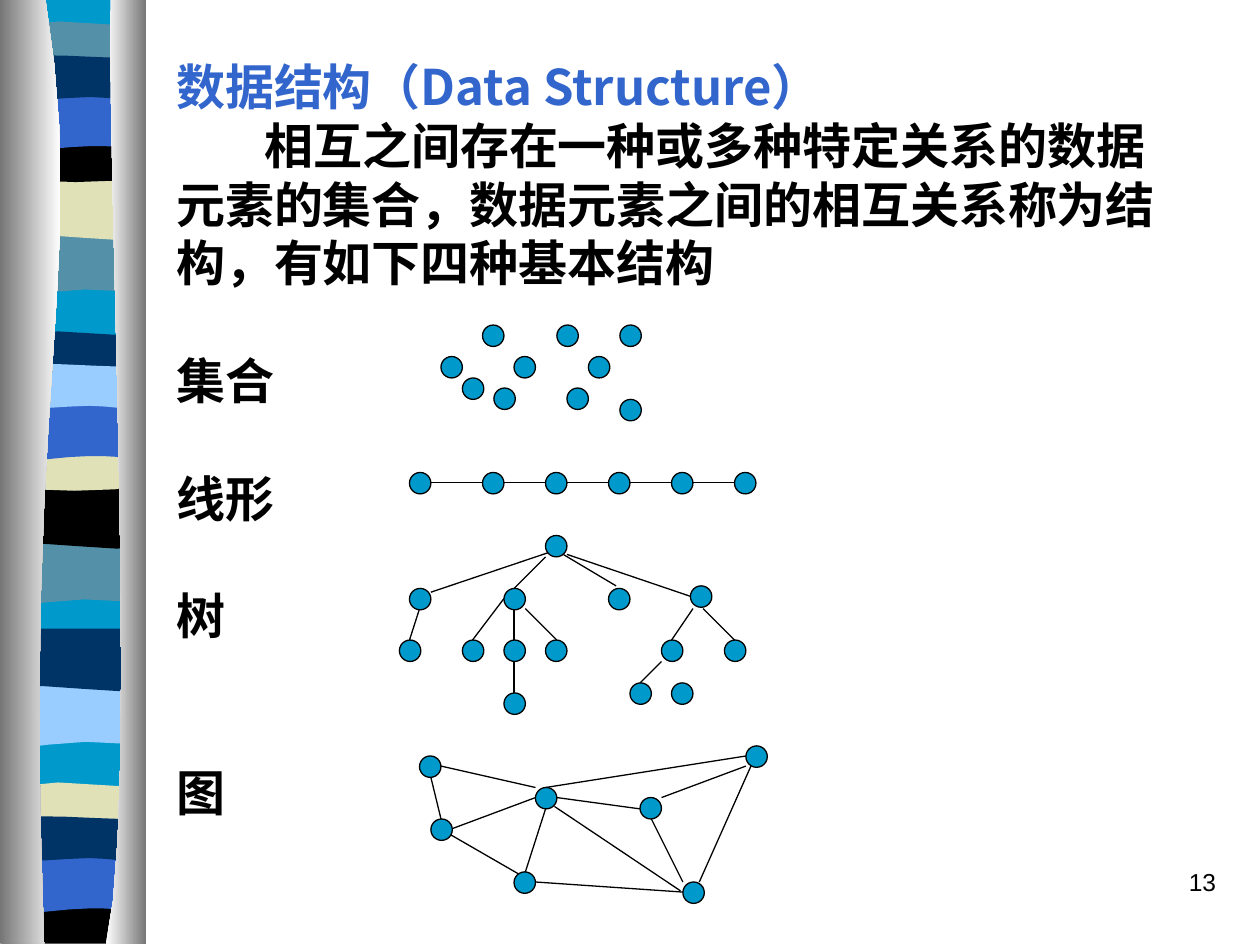
from dataclasses import dataclass

from lxml.etree import SubElement
from pptx import Presentation
from pptx.dml.color import RGBColor as Rgb
from pptx.enum.shapes import MSO_CONNECTOR as Connector, MSO_SHAPE as Preset
from pptx.enum.text import PP_ALIGN as Align
from pptx.oxml.ns import qn
from pptx.util import Inches, Pt


@dataclass(frozen=True)
class Theme:
    """Colours, fonts and sizes of the slide."""
    sky: str = "0099CC"
    steel: str = "5490A8"
    sand: str = "E1E1B7"
    black: str = "000000"
    royal: str = "3366CC"
    navy: str = "003366"
    pale: str = "99CCFF"
    white: str = "FFFFFF"
    grey: str = "767676"
    cjk: str = "Noto Sans CJK SC"
    serif: str = "Times New Roman"
    sans: str = "Arial"
    body: float = 28
    leading: float = 33.6
    number: float = 14
    stroke: float = 0.75


THEME = Theme()
NODE = 0.17

WAVES = {
    "sway": [(1.08, 0), (1.08, 0.47), (0.33, 0.39, 0.18, 0.55, 0, 0.47), (0, 0)],
    "drift": [(1.08, 0), (1.08, 0.47), (0.9, 0.55, 0.33, 0.41, 0, 0.47), (0, 0)],
    "swell": [(1.08, 0.05), (1.08, 0.29), (0.9, 0.33, 0.18, 0.33, 0, 0.29), (0, 0.05),
              (0.41, 0.01)],
    "bowl": [(1.08, 0), (1.08, 0.32), (0.9, 0.38, 0.18, 0.38, 0, 0.32), (0, 0),
             (0.66, 0.05, 0.85, 0, 1.08, 0)],
    "arch": [(1.08, 0), (1.08, 0.47), (0.91, 0.42, 0.84, 0.42, 0.66, 0.42),
             (0.48, 0.42, 0.16, 0.47, 0, 0.47), (0, 0)],
    "ripple": [(1.08, 0.05), (1.08, 0.36), (1.01, 0.41, 0.84, 0.36, 0.66, 0.36),
               (0.48, 0.36, 0.11, 0.41, 0, 0.36), (0, 0.05),
               (0.15, 0, 0.73, 0.05, 0.91, 0.05)],
    "base": [(1.08, 0), (1.08, 0.37), (0, 0.37), (0, 0), (0.66, 0.05, 0.85, 0, 1.08, 0)],
    "backing": [(1.08, 0), (1.08, 7.48), (0, 7.48), (0, 0)],
}

BANDS = [
    ("backing", 0.06, -0.01, THEME.sky),
    ("sway", 0.06, 1.85, THEME.steel), ("drift", 0.06, 1.41, THEME.sand),
    ("swell", 0.06, 0.16, THEME.steel), ("bowl", 0.06, 1.08, THEME.black),
    ("arch", 0.06, 0.74, THEME.royal), ("ripple", 0.06, 0.41, THEME.navy),
    ("sway", 0.05, 4.31, THEME.steel), ("drift", 0.05, 3.86, THEME.black),
    ("swell", 0.05, 2.62, THEME.navy), ("bowl", 0.05, 3.53, THEME.sand),
    ("arch", 0.05, 3.2, THEME.royal), ("ripple", 0.05, 2.86, THEME.pale),
    ("sway", 0.06, 5.44, THEME.pale), ("drift", 0.06, 4.99, THEME.navy),
    ("swell", 0.05, 6.2, THEME.sand), ("base", 0.05, 7.12, THEME.black),
    ("arch", 0.05, 6.79, THEME.royal), ("ripple", 0.05, 6.45, THEME.navy),
]

LEFT_CURTAIN = [(0.36, -0.01), (0.71, 2.16, 0.17, 2.96, 0.35, 7.49), (0, 7.49), (0, -0.01)]
RIGHT_CURTAIN = [(0.88, -0.01), (0.84, 1.25, 1.11, 6.46, 0.84, 7.49), (1.16, 7.49), (1.16, 0)]

SET_NODES = [(3.5, 2.83), (3.83, 2.58), (4.08, 2.83), (3.92, 3.08), (4.42, 2.58),
             (4.5, 3.08), (4.67, 2.83), (4.92, 2.58), (4.92, 3.17), (3.67, 3)]
CHAIN_NODES = [(x, 3.75) for x in (3.25, 3.83, 4.33, 4.83, 5.33, 5.83)]
CHAIN_EDGES = [(3.42, 3.83, 5.83, 3.83)]
TREE_NODES = [(4.33, 4.25), (3.25, 4.67), (4, 4.67), (4.83, 4.67), (5.48, 4.65),
              (3.17, 5.08), (3.67, 5.08), (4, 5.08), (4.33, 5.08), (5.25, 5.08),
              (5.75, 5.08), (4, 5.5), (5, 5.42), (5.33, 5.42)]
TREE_EDGES = [(4.37, 4.38, 3.42, 4.7), (4.33, 4.42, 4.08, 4.67), (4.47, 4.4, 4.89, 4.65),
              (4.5, 4.4, 5.5, 4.74), (3.33, 4.83, 3.25, 5.08), (4, 4.75, 3.75, 5.08),
              (4.08, 4.83, 4.08, 5.08), (4.17, 4.83, 4.42, 5.08), (5.5, 4.83, 5.33, 5.08),
              (5.58, 4.83, 5.83, 5.08), (5.25, 5.25, 5.08, 5.42), (4.08, 5.25, 4.08, 5.5)]
GRAPH_NODES = [(3.33, 6), (3.42, 6.5), (4.08, 6.92), (4.25, 6.25), (5.08, 6.33),
               (5.42, 7), (5.92, 5.92)]
GRAPH_EDGES = [(3.42, 6.17, 3.5, 6.5), (3.55, 6.61, 4.14, 6.95), (3.5, 6.08, 4.25, 6.25),
               (3.58, 6.58, 4.25, 6.33), (4.42, 6.33, 5.08, 6.42), (4.33, 6.25, 5.92, 6),
               (5.96, 6.08, 5.55, 7), (5.17, 6.5, 5.42, 7), (4.4, 6.4, 5.4, 7.07),
               (4.25, 7, 5.42, 7.08), (4.33, 6.42, 4.17, 6.92), (5.25, 6.33, 5.92, 6.08)]

PASSAGE = [
    ("数据结构（Data Structure）", 0, THEME.royal, THEME.cjk),
    ("相互之间存在一种或多种特定关系的数据元素的集合，数据元素之间的相互关系称为结构，有如下四种基本结构",
     0, THEME.black, THEME.serif),
    ("集合", 1, THEME.black, THEME.serif),
    ("线形", 1, THEME.black, THEME.serif),
    ("树", 1, THEME.black, THEME.serif),
    ("图", 2, THEME.black, THEME.serif),
]


def rgb(code):
    """Turn a hex code into a colour."""
    return Rgb.from_string(code)


def trace(segments, steps):
    """Flatten line and cubic segments into points."""
    points = [segments[0]]
    for segment in segments[1:]:
        if len(segment) == 2:
            points.append(segment)
            continue
        start, controls = points[-1], (segment[:2], segment[2:4], segment[4:])
        for t in (step / steps for step in range(1, steps + 1)):
            weights = ((1 - t) ** 3, 3 * t * (1 - t) ** 2, 3 * t * t * (1 - t), t ** 3)
            points.append(tuple(sum(w * p[axis] for w, p in zip(weights, (start, *controls)))
                                for axis in (0, 1)))
    return points


def add_outline(slide, segments, steps, left=0, top=0):
    """Add a closed borderless outline."""
    points = [(Inches(left + x), Inches(top + y)) for x, y in trace(segments, steps)]
    builder = slide.shapes.build_freeform(*points[0], scale=1.0)
    builder.add_line_segments(points[1:], close=True)
    outline = builder.convert_to_shape()
    outline.shadow.inherit = False
    outline.line.fill.background()
    return outline


def add_band(slide, wave, left, top, colour):
    """Add one coloured band of the ribbon."""
    band = add_outline(slide, WAVES[wave], 4, left, top)
    band.fill.solid()
    band.fill.fore_color.rgb = rgb(colour)


def add_curtain(slide, segments, colours):
    """Add a curtain shaded from left to right."""
    curtain = add_outline(slide, segments, 12)
    curtain.fill.gradient()
    curtain.fill.gradient_angle = 0
    for stop, colour in zip(curtain.fill.gradient_stops, colours):
        stop.color.rgb = rgb(colour)


def add_edge(slide, x1, y1, x2, y2):
    """Add a thin line between two nodes."""
    edge = slide.shapes.add_connector(Connector.STRAIGHT, *map(Inches, (x1, y1, x2, y2)))
    edge.line.color.rgb = rgb(THEME.black)
    edge.line.width = Pt(THEME.stroke)
    SubElement(edge._element.spPr, qn("a:effectLst"))


def add_node(slide, left, top):
    """Add a round data element."""
    node = slide.shapes.add_shape(Preset.OVAL, *map(Inches, (left, top, NODE, NODE)))
    node.shadow.inherit = False
    node.fill.solid()
    node.fill.fore_color.rgb = rgb(THEME.sky)
    node.line.color.rgb = rgb(THEME.black)
    node.line.width = Pt(THEME.stroke)


def add_structure(slide, nodes, edges=()):
    """Add the edges of one structure and its nodes over them."""
    for edge in edges:
        add_edge(slide, *edge)
    for node in nodes:
        add_node(slide, *node)


def style(paragraph, size, colour, font, bold=False):
    """Format the runs of a paragraph."""
    for run in paragraph.runs:
        run.font.size, run.font.bold, run.font.name = Pt(size), bold, font
        run.font.color.rgb = rgb(colour)
        SubElement(run.font._element, qn("a:ea"), typeface=THEME.cjk)


def add_passage(slide):
    """Add the definition and the four structure names."""
    frame = slide.shapes.add_textbox(*map(Inches, (1.3, 0.36, 8.19, 6.17))).text_frame
    frame.word_wrap = True
    frame.margin_top = Inches(0.09)
    frame.text = "\n".join(text for text, *_ in PASSAGE)
    for paragraph, (_, gap, colour, font) in zip(frame.paragraphs, PASSAGE):
        paragraph.line_spacing = Pt(THEME.leading)
        paragraph.space_before = Pt(gap * THEME.leading)
        style(paragraph, THEME.body, colour, font, bold=True)
    frame.paragraphs[1]._p.get_or_add_pPr().set("indent", str(Inches(0.7)))


def add_page_number(slide):
    """Add the page number at the lower right."""
    frame = slide.shapes.add_textbox(*map(Inches, (7.67, 6.83, 2.08, 0.5))).text_frame
    frame.word_wrap = True
    frame.text = "13"
    frame.paragraphs[0].alignment = Align.RIGHT
    style(frame.paragraphs[0], THEME.number, THEME.black, THEME.sans)


def main():
    """Build and save the slide."""
    deck = Presentation()
    deck.slide_width, deck.slide_height = Inches(10), Inches(7.5)
    slide = deck.slides.add_slide(deck.slide_layouts[6])
    for band in BANDS:
        add_band(slide, *band)
    add_curtain(slide, LEFT_CURTAIN, (THEME.grey, THEME.white))
    add_curtain(slide, RIGHT_CURTAIN, (THEME.white, THEME.grey))
    add_page_number(slide)
    add_structure(slide, SET_NODES)
    add_structure(slide, CHAIN_NODES, CHAIN_EDGES)
    add_structure(slide, TREE_NODES, TREE_EDGES)
    add_structure(slide, GRAPH_NODES, GRAPH_EDGES)
    add_passage(slide)
    deck.save("out.pptx")


if __name__ == "__main__":
    main()
